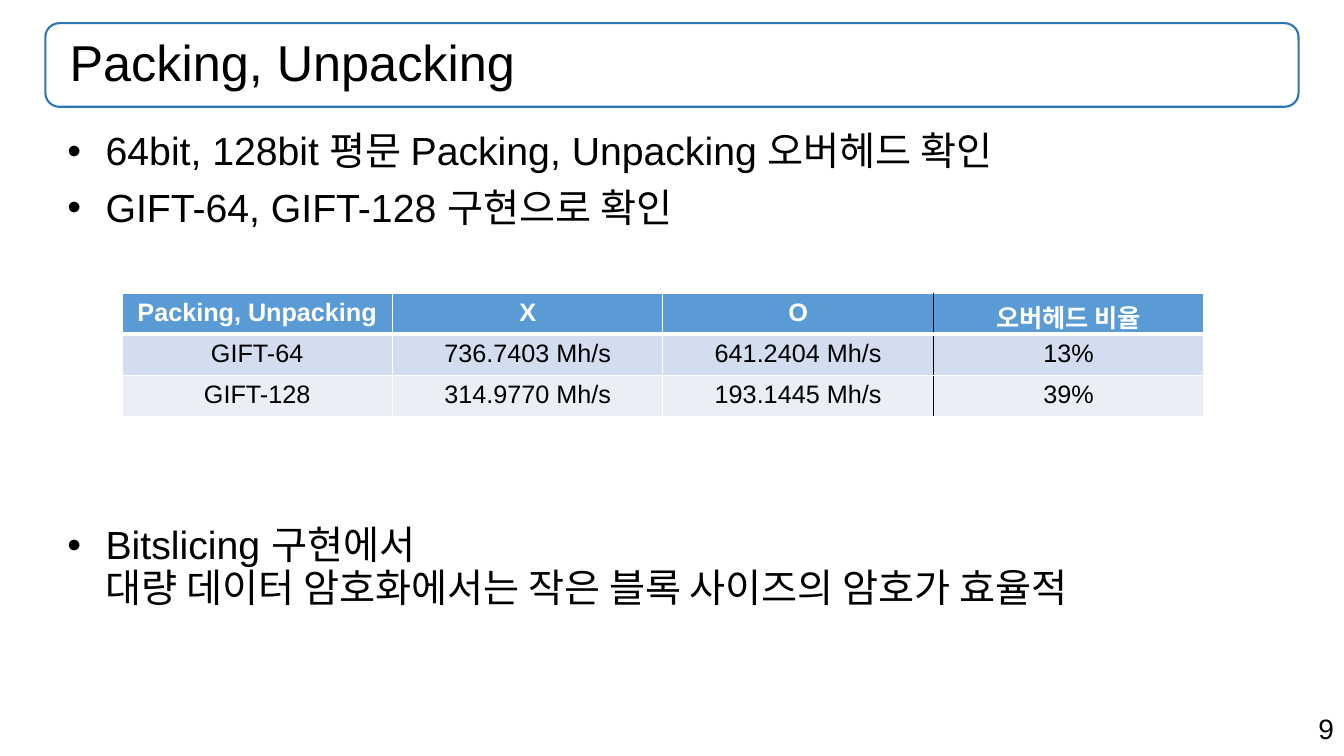
from lxml import etree
from pptx import Presentation
from pptx.dml.color import RGBColor
from pptx.enum.shapes import MSO_SHAPE
from pptx.enum.text import MSO_ANCHOR, PP_ALIGN
from pptx.oxml.ns import qn
from pptx.util import Inches, Pt

ROUNDED = MSO_SHAPE.ROUNDED_RECTANGLE
MIDDLE = MSO_ANCHOR.MIDDLE
LEFT, CENTER, RIGHT = PP_ALIGN.LEFT, PP_ALIGN.CENTER, PP_ALIGN.RIGHT
FONT = "Arial"
BLACK, WHITE = "000000", "FFFFFF"
ROW_FILLS = ["5B9BD5", "D2DEEF", "EAEFF7"]
BULLETS = [
    (["64bit, 128bit 평문 Packing, Unpacking 오버헤드 확인"], 0),
    (["GIFT-64, GIFT-128 구현으로 확인"], 10),
    (["Bitslicing 구현에서", "대량 데이터 암호화에서는 작은 블록 사이즈의 암호가 효율적"], 211),
]
ROWS = [
    ["Packing, Unpacking", "X", "O", "오버헤드 비율"],
    ["GIFT-64", "736.7403 Mh/s", "641.2404 Mh/s", "13%"],
    ["GIFT-128", "314.9770 Mh/s", "193.1445 Mh/s", "39%"],
]


def rgb(value):
    return RGBColor.from_string(value)


def add_run(p, text, size, color=BLACK, bold=False):
    r = p.add_run()
    r.text = text
    r.font.name = FONT
    r.font.size = Pt(size)
    r.font.bold = bold
    r.font.color.rgb = rgb(color)


def place(sp, x, y, w, h):
    sp.left, sp.top, sp.width, sp.height = (Inches(v) for v in (x, y, w, h))


def add_title(s, x, y, w, h):
    frame = s.shapes.add_shape(ROUNDED, Inches(x), Inches(y), Inches(w), Inches(h))
    frame.shadow.inherit = False
    frame.fill.background()
    frame.line.color.rgb = rgb("2E75B5")
    frame.line.width = Pt(1.5)
    title = s.shapes.title
    place(title, x, y, w, h)
    tf = title.text_frame
    tf.vertical_anchor = MIDDLE
    tf.margin_left = Inches(0.24)
    p = tf.paragraphs[0]
    p.alignment = LEFT
    p.line_spacing = 0.9
    add_run(p, "Packing, Unpacking", 36)


def set_bullet(p):
    pPr = p._p.get_or_add_pPr()
    pPr.set("marL", str(Inches(0.5)))
    pPr.set("indent", str(Inches(-0.38)))
    color = etree.SubElement(pPr, qn("a:buClr"))
    etree.SubElement(color, qn("a:srgbClr"), val=BLACK)
    etree.SubElement(pPr, qn("a:buFont"), typeface=FONT)
    etree.SubElement(pPr, qn("a:buChar"), char="•")


def add_body(s, x, y, w, h):
    tf = s.shapes.add_textbox(Inches(x), Inches(y), Inches(w), Inches(h)).text_frame
    tf.word_wrap = True
    for i, (lines, gap) in enumerate(BULLETS):
        p = tf.add_paragraph() if i else tf.paragraphs[0]
        set_bullet(p)
        p.line_spacing = 0.9
        p.space_before = Pt(gap)
        for j, line in enumerate(lines):
            if j:
                p.add_line_break()
            add_run(p, line, 28)


def set_border(cell, side, color, width):
    tcPr = cell._tc.get_or_add_tcPr()
    ln = etree.SubElement(tcPr, qn("a:ln" + side), w=str(Pt(width)))
    fill = etree.SubElement(ln, qn("a:solidFill"))
    etree.SubElement(fill, qn("a:srgbClr"), val=color)


def add_results(s, x, y, w, h):
    n_rows, n_cols = len(ROWS), len(ROWS[0])
    table = s.shapes.add_table(
        n_rows, n_cols, Inches(x), Inches(y), Inches(w), Inches(h)).table
    for i, row in enumerate(ROWS):
        header = i == 0
        for j, text in enumerate(row):
            cell = table.cell(i, j)
            set_border(cell, "L", BLACK if j == n_cols - 1 else WHITE, 1)
            set_border(cell, "R", BLACK if j == n_cols - 2 else WHITE, 1)
            set_border(cell, "T", WHITE, 3 if i == 1 else 1)
            set_border(cell, "B", WHITE, 3 if header else 1)
            cell.fill.solid()
            cell.fill.fore_color.rgb = rgb(ROW_FILLS[i])
            p = cell.text_frame.paragraphs[0]
            p.alignment = CENTER
            add_run(p, text, 18, WHITE if header else BLACK, header)


def add_page_number(s, x, y, w, h):
    tf = s.shapes.add_textbox(Inches(x), Inches(y), Inches(w), Inches(h)).text_frame
    tf.word_wrap = True
    p = tf.paragraphs[0]
    p.alignment = RIGHT
    add_run(p, "9", 20)


def main():
    prs = Presentation()
    prs.slide_width, prs.slide_height = Inches(13.33), Inches(7.5)
    s = prs.slides.add_slide(prs.slide_layouts[5])
    add_title(s, 0.45, 0.23, 12.43, 0.83)
    add_body(s, 0.45, 1.26, 12.43, 6.13)
    add_results(s, 1.21, 2.91, 10.73, 1.22)
    add_page_number(s, 9.43, 7.01, 3.9, 0.44)
    prs.save("out.pptx")


if __name__ == "__main__":
    main()
